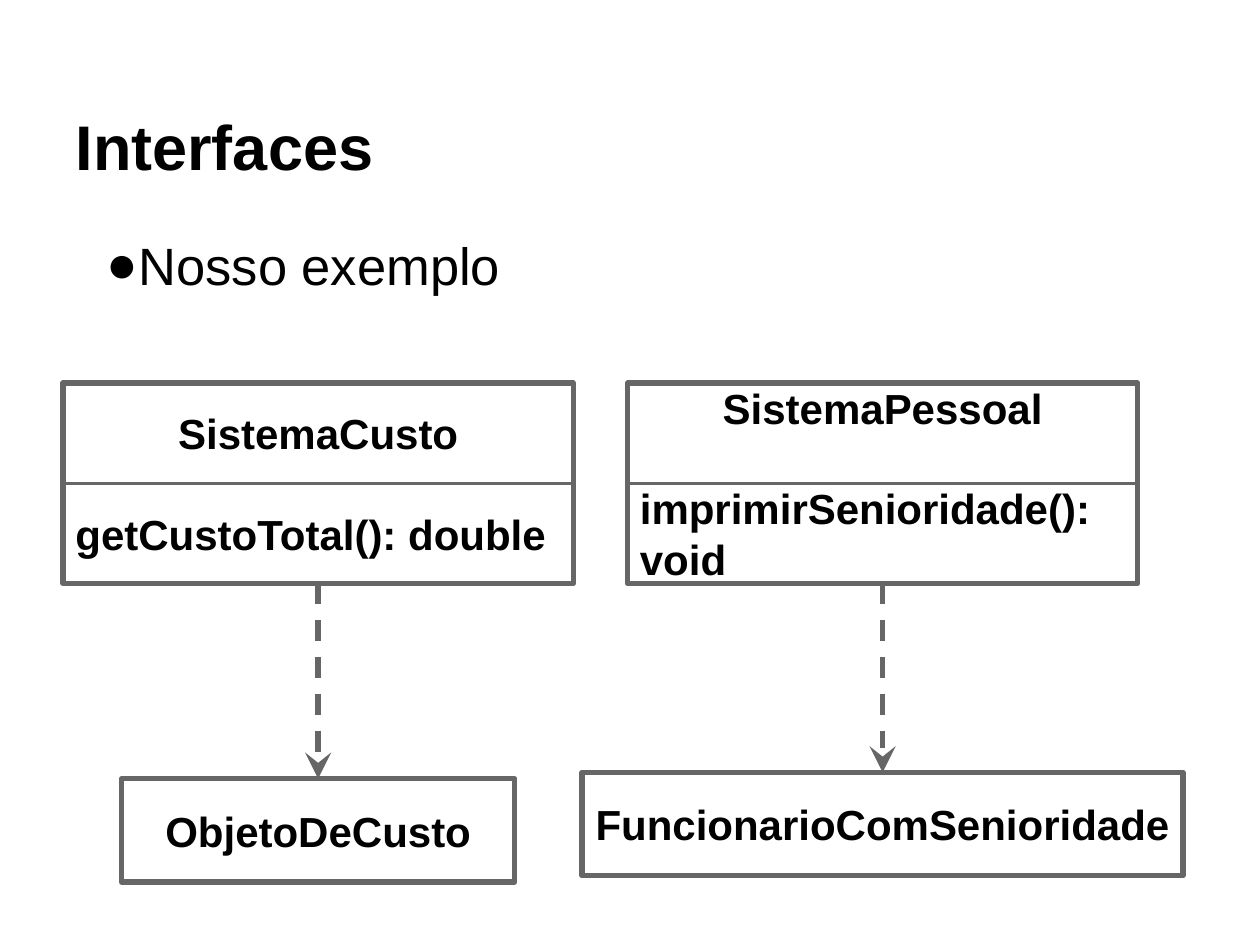
"""Build the slide on interfaces: two systems, each depending on one interface."""
from lxml import etree
from pptx import Presentation
from pptx.dml.color import RGBColor
from pptx.enum.dml import MSO_LINE
from pptx.enum.shapes import MSO_CONNECTOR, MSO_SHAPE
from pptx.enum.text import MSO_ANCHOR, MSO_AUTO_SIZE, PP_ALIGN
from pptx.oxml.ns import qn
from pptx.util import Inches, Pt

TITLE = "Interfaces"
BULLET = "Nosso exemplo"
SYSTEMS = [
    {"left": 0.5, "name": "SistemaCusto", "method": "getCustoTotal(): double",
     "interface": "ObjetoDeCusto", "interface_top": 6.18, "interface_width": 3.12},
    {"left": 4.98, "name": "SistemaPessoal", "method": "imprimirSenioridade(): void",
     "interface": "FuncionarioComSenioridade", "interface_top": 6.13, "interface_width": 4.77},
]

FONT = "Arial"
BLACK = RGBColor(0, 0, 0)
WHITE = RGBColor(255, 255, 255)
GRAY = RGBColor(0x66, 0x66, 0x66)
LEFT, CENTER = PP_ALIGN.LEFT, PP_ALIGN.CENTER
TOP, MIDDLE, BOTTOM = MSO_ANCHOR.TOP, MSO_ANCHOR.MIDDLE, MSO_ANCHOR.BOTTOM
RECTANGLE, STRAIGHT = MSO_SHAPE.RECTANGLE, MSO_CONNECTOR.STRAIGHT
DASH, FIXED = MSO_LINE.DASH, MSO_AUTO_SIZE.NONE
CLASS_TOP, CLASS_WIDTH, CLASS_HEIGHT = 3.04, 4.05, 1.59
DIVIDER_TOP = 3.84
INTERFACE_HEIGHT = 0.82


def prepare(frame, anchor):
    frame.word_wrap = True
    frame.auto_size = FIXED
    frame.vertical_anchor = anchor
    frame.margin_left = frame.margin_right = Inches(0.1)
    frame.margin_top = frame.margin_bottom = Inches(0.1)


def write(para, text, size, bold, align):
    para.text = text
    para.alignment = align
    para.font.name = FONT
    para.font.size = Pt(size)
    para.font.bold = bold
    para.font.color.rgb = BLACK


def add_box(shapes, left, top, width, height, name):
    box = shapes.add_shape(RECTANGLE, Inches(left), Inches(top), Inches(width), Inches(height))
    box.shadow.inherit = False
    box.fill.solid()
    box.fill.fore_color.rgb = WHITE
    box.line.color.rgb = GRAY
    box.line.width = Pt(3)
    prepare(box.text_frame, MIDDLE)
    write(box.text_frame.paragraphs[0], name, 24, True, CENTER)
    return box


def add_line(shapes, start, end, width):
    line = shapes.add_connector(STRAIGHT, *map(Inches, start + end))
    line.line.color.rgb = GRAY
    line.line.width = Pt(width)
    etree.SubElement(line._element.spPr, qn("a:effectLst"))
    return line


def add_class(shapes, left, name, method):
    group = shapes.add_group_shape().shapes
    box = add_box(group, left, CLASS_TOP, CLASS_WIDTH, CLASS_HEIGHT, name)
    para = box.text_frame.add_paragraph()
    write(para, method, 24, True, LEFT)
    para.space_before = Pt(28.5)
    add_line(group, (left, DIVIDER_TOP), (left + CLASS_WIDTH, DIVIDER_TOP), 1.5)


def add_dependency(shapes, center, end):
    arrow = add_line(shapes, (center, CLASS_TOP + CLASS_HEIGHT), (center, end), 3)
    arrow.line.dash_style = DASH
    outline = arrow.line._get_or_add_ln()
    etree.SubElement(outline, qn("a:tailEnd"), type="stealth", w="lg", len="lg")


def add_bullet(shapes):
    body = shapes.add_textbox(Inches(0.5), Inches(1.75), Inches(9), Inches(5.43))
    prepare(body.text_frame, TOP)
    para = body.text_frame.paragraphs[0]
    write(para, BULLET, 30, False, LEFT)
    properties = para._p.get_or_add_pPr()
    properties.set("marL", str(Inches(0.5)))
    properties.set("indent", str(Inches(-0.25)))
    for tag, settings in (("a:buFont", {"typeface": FONT}), ("a:buChar", {"char": "●"})):
        mark = etree.Element(qn(tag), settings)
        properties.insert_element_before(mark, "a:tabLst", "a:defRPr", "a:extLst")


def main():
    deck = Presentation()
    deck.slide_width, deck.slide_height = Inches(10), Inches(7.5)
    page = deck.slides.add_slide(deck.slide_layouts[5])
    shapes = page.shapes

    title = shapes.title
    title.left, title.top = Inches(0.5), Inches(0.3)
    title.width, title.height = Inches(9), Inches(1.25)
    prepare(title.text_frame, BOTTOM)
    write(title.text_frame.paragraphs[0], TITLE, 36, True, LEFT)
    add_bullet(shapes)

    for system in SYSTEMS:
        center = system["left"] + CLASS_WIDTH / 2
        width, top = system["interface_width"], system["interface_top"]
        add_class(shapes, system["left"], system["name"], system["method"])
        add_box(shapes, center - width / 2, top, width, INTERFACE_HEIGHT, system["interface"])
        add_dependency(shapes, center, top)

    deck.save("out.pptx")


if __name__ == "__main__":
    main()
